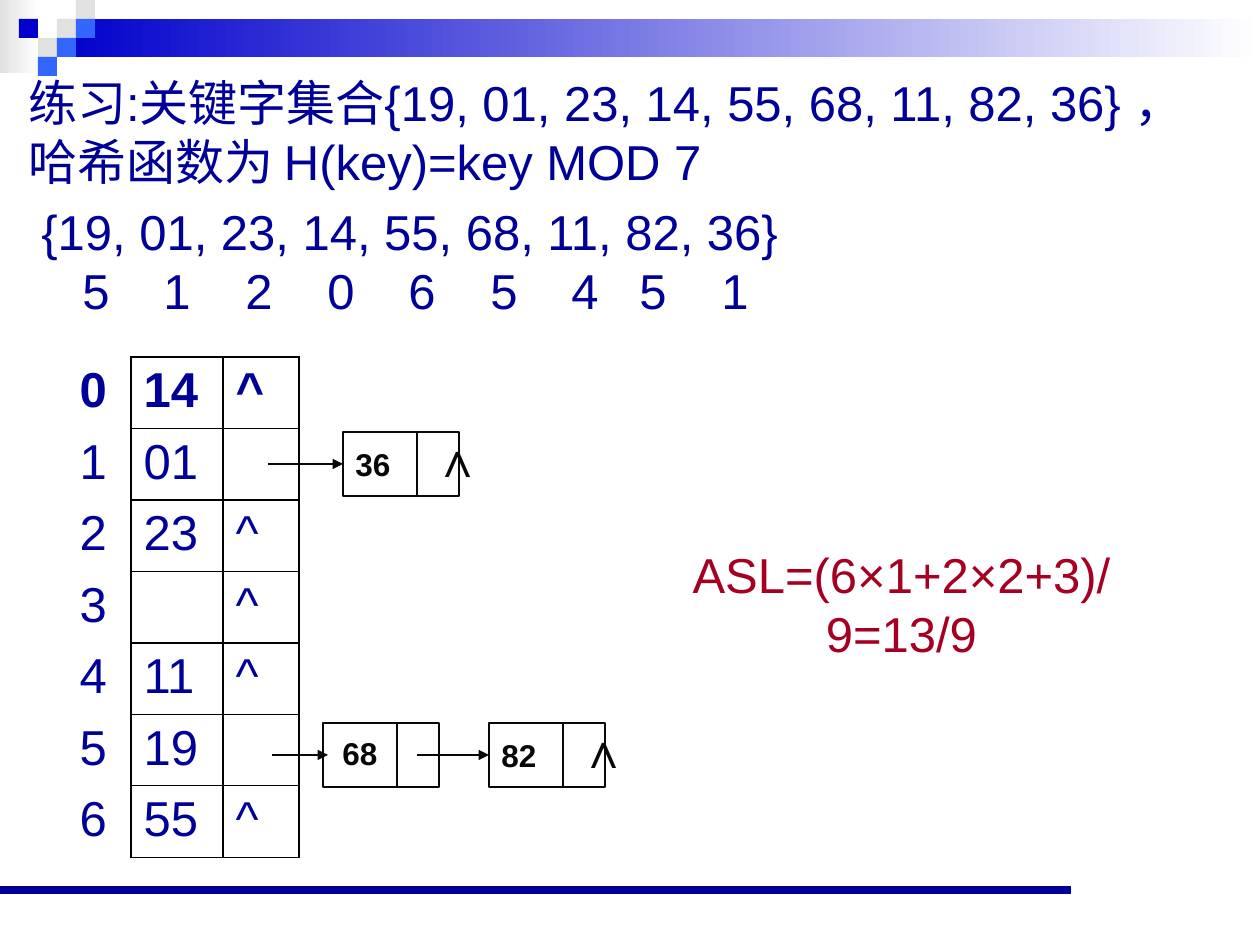
from lxml.etree import SubElement
from pptx import Presentation
from pptx.dml.color import RGBColor
from pptx.enum.shapes import MSO_CONNECTOR, MSO_SHAPE
from pptx.enum.text import MSO_ANCHOR, MSO_AUTO_SIZE, PP_ALIGN
from pptx.oxml.ns import qn
from pptx.util import Pt

NAVY = RGBColor(0x00, 0x00, 0x99)
BLUE = RGBColor(0x00, 0x00, 0xCC)
SKY = RGBColor(0x33, 0x66, 0xFF)
GREY = RGBColor(0xE1, 0xE1, 0xE1)
WHITE = RGBColor(0xFF, 0xFF, 0xFF)
INK = RGBColor(0x08, 0x08, 0x08)
CRIMSON = RGBColor(0xA5, 0x00, 0x21)
FONT = "Arial"
NODE_WIDTH, NODE_HEIGHT, NODE_DIVIDER = 116, 64, 74
BUCKETS = [("14", "^"), ("01", ""), ("23", "^"), ("", "^"),
           ("11", "^"), ("19", ""), ("55", "^")]


def px(length):
    """Turn pixels into EMU."""
    return round(length * 914400 / 126)


def format_text(text_frame, size, color, bold=False, align=PP_ALIGN.LEFT):
    """Give every run of a text frame one look."""
    for para in text_frame.paragraphs:
        para.alignment = align
        for span in para.runs:
            span.font.name = FONT
            span.font.size = Pt(size)
            span.font.bold = bold
            span.font.color.rgb = color


def add_label(page, box, text, size, color, bold=False,
              align=PP_ALIGN.CENTER, wrap=False):
    """Add a text box that grows with its text."""
    label = page.shapes.add_textbox(*map(px, box))
    text_frame = label.text_frame
    text_frame.text = text
    text_frame.word_wrap = wrap
    text_frame.auto_size = MSO_AUTO_SIZE.SHAPE_TO_FIT_TEXT
    format_text(text_frame, size, color, bold, align)
    return label


def add_rectangle(page, box, color=None, fade=False):
    """Add a borderless rectangle, plain, fading to white or unfilled."""
    rectangle = page.shapes.add_shape(MSO_SHAPE.RECTANGLE, *map(px, box))
    rectangle.shadow.inherit = False
    rectangle.line.fill.background()
    if color is None:
        rectangle.fill.background()
    elif fade:
        rectangle.fill.gradient()
        rectangle.fill.gradient_angle = 0
        for stop, stop_color in zip(rectangle.fill.gradient_stops, (color, WHITE)):
            stop.color.rgb = stop_color
    else:
        rectangle.fill.solid()
        rectangle.fill.fore_color.rgb = color
    return rectangle


def add_line(page, start, end, color, width, arrow=False, target=None):
    """Add a line, optionally with an arrowhead joined to a target's left side."""
    line = page.shapes.add_connector(MSO_CONNECTOR.STRAIGHT, *map(px, start + end))
    line.line.color.rgb = color
    line.line.width = Pt(width)
    properties = line._element.spPr
    if arrow:
        SubElement(properties.find(qn("a:ln")), qn("a:tailEnd"), type="triangle")
    SubElement(properties, qn("a:effectLst"))
    if target is not None:
        line.end_connect(target, 1)


def add_header(page, left, top, width):
    """Place the fading bar and its mosaic of squares."""
    step = 19
    add_rectangle(page, (left, top, 39, 73), GREY, fade=True)
    bar_left = left + 3 * step
    add_rectangle(page, (bar_left, top + step, left + width - bar_left, 2 * step),
                  BLUE, fade=True)
    squares = [(3, 1, GREY), (4, 0, GREY), (4, 1, SKY), (2, 2, GREY),
               (1, 1, BLUE), (3, 2, SKY), (2, 3, SKY)]
    for column, row, color in squares:
        add_rectangle(page, (left + column * step, top + row * step, step, step), color)


def add_key_list(page, box):
    """Place the keys with their hash addresses aligned below."""
    keys = "{19, 01, 23, 14, 55, 68, 11, 82, 36}"
    addresses = "512065451"
    stops = (41, 122, 204, 286, 367, 449, 530, 598, 680)
    text = keys + "\n" + "".join("\t" + address for address in addresses)
    label = add_label(page, box, text, 28, NAVY, align=PP_ALIGN.LEFT, wrap=True)
    properties = label.text_frame.paragraphs[1]._p.get_or_add_pPr()
    tabs = SubElement(properties, qn("a:tabLst"))
    for stop in stops:
        SubElement(tabs, qn("a:tab"), pos=str(px(stop)), algn="l")


def set_borders(cell, visible):
    """Draw the named sides of a cell and hide the others."""
    properties = cell._tc.get_or_add_tcPr()
    for position, side in enumerate("LRTB"):
        border = properties.makeelement(qn(f"a:ln{side}"), {"w": str(Pt(0.75))})
        properties.insert(position, border)
        if side in visible:
            fill = SubElement(border, qn("a:solidFill"))
            SubElement(fill, qn("a:srgbClr"), val="000000")
        else:
            SubElement(border, qn("a:noFill"))


def add_hash_table(page, box):
    """Place the table of addresses, keys and pointers."""
    frame = page.shapes.add_table(len(BUCKETS), 3, *map(px, box))
    table = frame.table
    table.first_row = table.horz_banding = False
    for column, width in zip(table.columns, (64, 92, 76)):
        column.width = px(width)
    for address, bucket in enumerate(BUCKETS):
        table.rows[address].height = px(box[3] / len(BUCKETS))
        for column, text in enumerate((str(address), *bucket)):
            cell = table.cell(address, column)
            cell.fill.solid()
            cell.fill.fore_color.rgb = WHITE
            cell.text = text
            format_text(cell.text_frame, 28, NAVY, bold=address == 0)
            set_borders(cell, "LRTB" if column else "R")


def add_node(page, left, top, label="", last=False):
    """Place a chain node with a key field and a pointer field."""
    node = add_rectangle(page, (left, top, NODE_WIDTH, NODE_HEIGHT))
    node.line.color.rgb = INK
    node.line.width = Pt(0.75)
    text_frame = node.text_frame
    text_frame.text = label
    text_frame.word_wrap = False
    text_frame.vertical_anchor = MSO_ANCHOR.MIDDLE
    format_text(text_frame, 18, INK, bold=True)
    divider = left + NODE_DIVIDER
    add_line(page, (divider, top), (divider, top + NODE_HEIGHT), INK, 0.75)
    if last:
        add_label(page, (left + 78, top - 10, 42, 72), "∧", 28, INK)
    return node


def add_chains(page, left, top):
    """Place the overflow chains of addresses 1 and 5."""
    lower = top + 291
    upper_axis, lower_axis = top + NODE_HEIGHT // 2, lower + NODE_HEIGHT // 2
    node_36 = add_node(page, left + 20, top, "36", last=True)
    add_node(page, left, lower)
    add_label(page, (left + 7, lower + 5, 60, 50), "68", 18, INK, bold=True)
    node_82 = add_node(page, left + 166, lower, "82", last=True)
    add_line(page, (left - 55, upper_axis), (left + 20, upper_axis),
             INK, 1.5, arrow=True, target=node_36)
    add_line(page, (left - 51, lower_axis), (left + 5, lower_axis),
             INK, 1.5, arrow=True)
    add_line(page, (left + 94, lower_axis), (left + 166, lower_axis),
             INK, 1.5, arrow=True, target=node_82)


def build_exercise(deck):
    """Build the hash table exercise page."""
    page = deck.slides.add_slide(deck.slide_layouts[6])
    add_header(page, 0, 0, 1260)
    add_line(page, (0, 890), (1071, 890), NAVY, 4.5)
    add_label(page, (16, 66, 1187, 131),
              "练习:关键字集合{19, 01, 23, 14, 55, 68, 11, 82, 36} ，"
              "哈希函数为 H(key)=key MOD 7",
              28, NAVY, align=PP_ALIGN.LEFT, wrap=True)
    add_key_list(page, (29, 195, 765, 131))
    add_hash_table(page, (67, 357, 232, 500))
    add_chains(page, 323, 432)
    add_label(page, (605, 538, 593, 72), "ASL=(6×1+2×2+3)/9=13/9", 28, CRIMSON)


def main():
    """Create the deck and save it."""
    deck = Presentation()
    deck.slide_width, deck.slide_height = px(1260), px(945)
    build_exercise(deck)
    deck.save("out.pptx")


if __name__ == "__main__":
    main()
